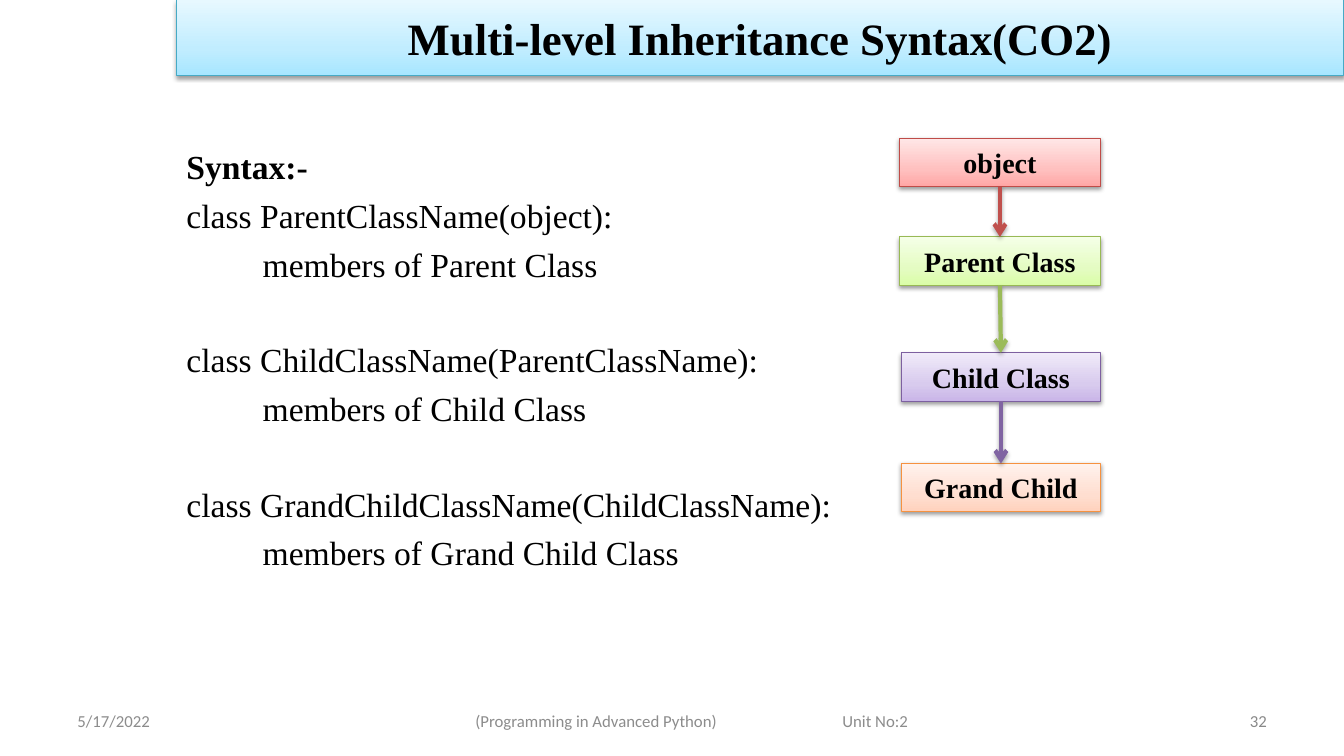
import copy
import pptx
import pptx.util
import pptx.dml.color
import pptx.enum.shapes
import pptx.enum.text
import pptx.oxml
import pptx.oxml.ns
import pptx.oxml.xmlchemy

Cm = pptx.util.Cm
Pt = pptx.util.Pt
ALIGN = pptx.enum.text.PP_ALIGN
SERIF, SANS = "Times New Roman", "Calibri"

COLORS = {
    "text": "000000", "footer": "8C8C8C", "page": "898989", "shadow": "000000",
    "title": ("46AAC5", "A7E6FF", "C1EDFF", "E7F8FF"),
    "red": ("BF4C48", "FFA6A5", "FFC0BF", "FFE7E7"),
    "green": ("98B955", "DAFDA7", "E4FCC2", "F5FFE7"),
    "purple": ("7D60A0", "C9B5E8", "D8CBEE", "F0EAF9"),
    "orange": ("F69240", "FFD2BD", "FFDED0", "FFF2ED"),
    "red arrow": "C0504D", "green arrow": "9BBB59", "purple arrow": "8064A2",
}
TITLE = "Multi-level Inheritance Syntax(CO2)"
SYNTAX_HEADING = "Syntax:-"
SYNTAX = [
    ("class ParentClassName(object):", "members of Parent Class"),
    ("class ChildClassName(ParentClassName):", "members of Child Class"),
    ("class GrandChildClassName(ChildClassName):", "members of Grand Child Class"),
]
HIERARCHY = [
    ("object", "red", 3.48, 5.08),
    ("Parent Class", "green", 5.97, 5.08),
    ("Child Class", "purple", 8.89, 5.03),
    ("Grand Child", "orange", 11.68, 5.03),
]
FOOTER = [
    ("5/17/2022", 1.7, 7.9, ALIGN.LEFT, "footer"),
    ("(Programming in Advanced Python)\tUnit No:2", 11.73, 14.93, ALIGN.LEFT, "footer"),
    ("32", 24.28, 7.9, ALIGN.RIGHT, "page"),
]
LEVEL_RIGHT, LEVEL_HEIGHT = 27.74, 1.22
FOOTER_TOP, FOOTER_HEIGHT, UNIT_TAB = 17.65, 1.02, 9.25
LINE_GAP, GROUP_GAP, MEMBER_INDENT = 6, 39.5, 1.92


def rgb(value):
    return pptx.dml.color.RGBColor.from_string(value)


def element(tag, **attributes):
    node = pptx.oxml.xmlchemy.OxmlElement(tag)
    for key, value in attributes.items():
        node.set(key, str(value))
    return node


def add_run(paragraph, text, size, font=SERIF, color="text", bold=False):
    run = paragraph.add_run()
    run.text = text
    run.font.name, run.font.size, run.font.bold = font, Pt(size), bold
    run.font.color.rgb = rgb(COLORS[color])


def add_shadow(properties, distance, opacity):
    effects = properties.find(pptx.oxml.ns.qn("a:effectLst"))
    if effects is None:
        effects = element("a:effectLst")
        properties.append(effects)
    shadow = element("a:outerShdw", blurRad=40000, dist=distance, dir=5400000, rotWithShape=0)
    tint = element("a:srgbClr", val=COLORS["shadow"])
    tint.append(element("a:alpha", val=opacity * 1000))
    shadow.append(tint)
    effects.append(shadow)


def add_panel(slide, text, palette, left, top, width, height, size):
    panel = slide.shapes.add_shape(pptx.enum.shapes.MSO_SHAPE.RECTANGLE,
                                   Cm(left), Cm(top), Cm(width), Cm(height))
    outline, *shades = COLORS[palette]
    panel.fill.gradient()
    panel.fill.gradient_angle = 90
    properties = panel._element.spPr
    stops = properties.find(".//" + pptx.oxml.ns.qn("a:gsLst"))
    stops.insert(1, copy.deepcopy(stops[0]))
    for stop, position, shade in zip(panel.fill.gradient_stops, (0, 0.35, 1), shades):
        stop.position = position
        stop.color.rgb = rgb(shade)
    panel.line.color.rgb = rgb(outline)
    panel.line.width = Pt(0.75)
    panel.shadow.inherit = False
    add_shadow(properties, 20000, 38)
    panel.text_frame.vertical_anchor = pptx.enum.text.MSO_ANCHOR.MIDDLE
    paragraph = panel.text_frame.paragraphs[0]
    paragraph.alignment = ALIGN.CENTER
    add_run(paragraph, text, size, bold=True)
    return panel


def add_arrow(slide, upper, lower, color):
    arrow = slide.shapes.add_connector(pptx.enum.shapes.MSO_CONNECTOR.STRAIGHT, 0, 0, 0, 0)
    arrow.begin_connect(upper, 2)
    arrow.end_connect(lower, 0)
    arrow.line.color.rgb = rgb(COLORS[color])
    arrow.line.width = Pt(3)
    arrow.line._get_or_add_ln().append(element("a:tailEnd", type="arrow"))
    add_shadow(arrow._element.spPr, 23000, 35)


def add_text_frame(slide, left, top, width, height):
    frame = slide.shapes.add_textbox(Cm(left), Cm(top), Cm(width), Cm(height)).text_frame
    frame.word_wrap = True
    return frame


def add_syntax(slide):
    frame = add_text_frame(slide, 4.45, 3.56, 17.15, 11.48)
    add_run(frame.paragraphs[0], SYNTAX_HEADING, 24, bold=True)
    for index, (declaration, members) in enumerate(SYNTAX):
        paragraph = frame.add_paragraph()
        paragraph.space_before = Pt(GROUP_GAP if index else LINE_GAP)
        add_run(paragraph, declaration, 24)
        paragraph = frame.add_paragraph()
        paragraph.space_before = Pt(LINE_GAP)
        paragraph._p.get_or_add_pPr().set("marL", str(Cm(MEMBER_INDENT)))
        add_run(paragraph, members, 24)


def add_footer(slide):
    for text, left, width, alignment, color in FOOTER:
        frame = add_text_frame(slide, left, FOOTER_TOP, width, FOOTER_HEIGHT)
        frame.vertical_anchor = pptx.enum.text.MSO_ANCHOR.MIDDLE
        paragraph = frame.paragraphs[0]
        if "\t" in text:
            tabs = element("a:tabLst")
            tabs.append(element("a:tab", pos=Cm(UNIT_TAB), algn="l"))
            paragraph._p.get_or_add_pPr().append(tabs)
        paragraph.alignment = alignment
        add_run(paragraph, text, 12, SANS, color)


def main():
    deck = pptx.Presentation()
    deck.slide_width, deck.slide_height = Cm(33.87), Cm(19.05)
    slide = deck.slides.add_slide(deck.slide_layouts[6])
    add_syntax(slide)
    levels = [add_panel(slide, name, palette, LEVEL_RIGHT - width, top, width, LEVEL_HEIGHT, 20)
              for name, palette, top, width in HIERARCHY]
    for upper, lower, level in zip(levels, levels[1:], HIERARCHY):
        add_arrow(slide, upper, lower, level[1] + " arrow")
    add_panel(slide, TITLE, "title", 4.45, 0, 29.42, 1.9, 32)
    add_footer(slide)
    deck.save("out.pptx")


if __name__ == "__main__":
    main()
